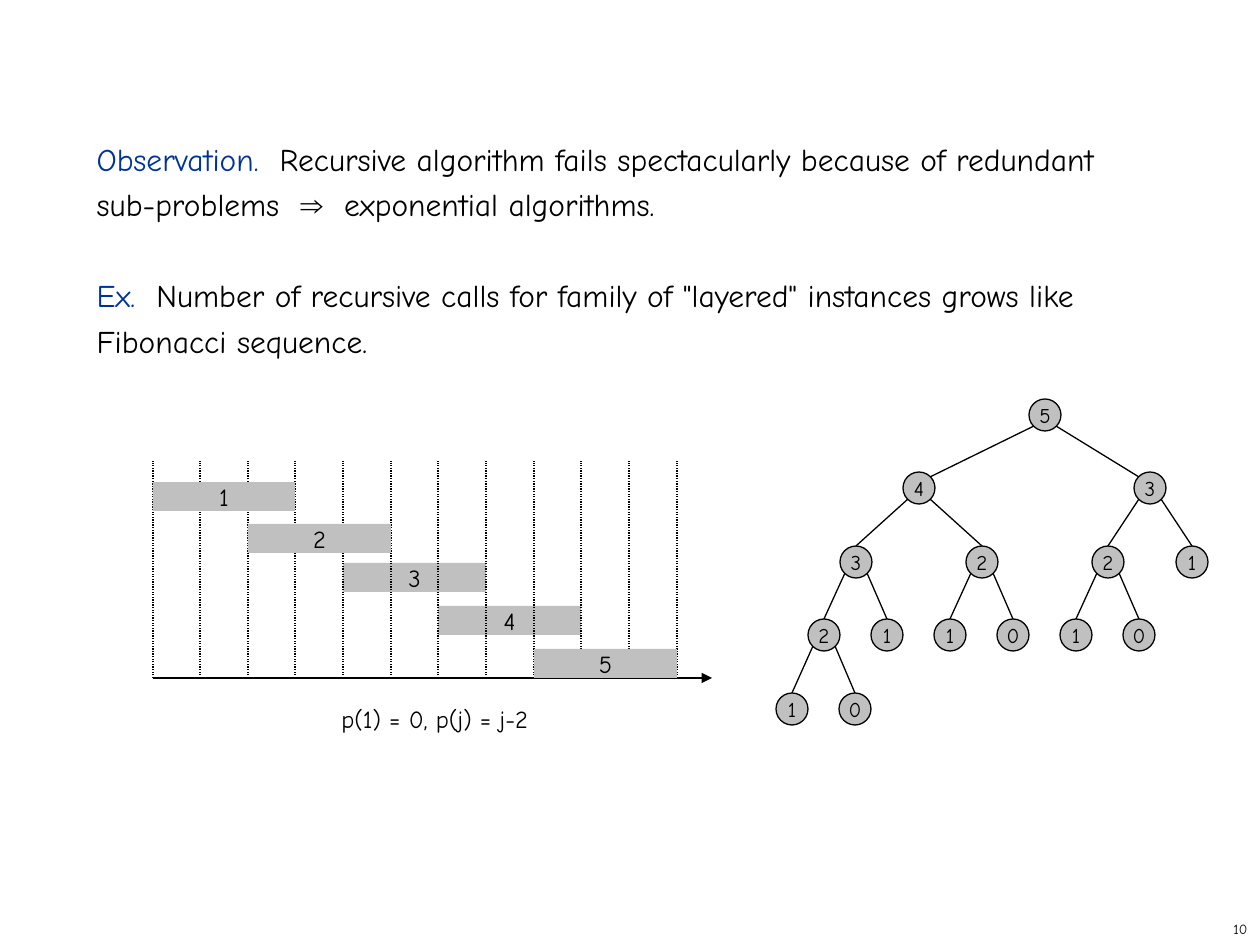
from pptx import Presentation
from pptx.dml.color import RGBColor
from pptx.enum.dml import MSO_LINE as Dash
from pptx.enum.shapes import MSO_CONNECTOR as Conn, MSO_SHAPE as Shape
from pptx.enum.text import MSO_ANCHOR as Anchor, MSO_AUTO_SIZE as Fit, PP_ALIGN as Align
from pptx.oxml.ns import qn
from pptx.util import Pt
from lxml.etree import SubElement as Sub

SCALE = 914400 / 126
FONT = "Comic Neue"
BLACK, BLUE, GRAY = "000000", "003399", "C0C0C0"
BASE = 678
SPREAD = {(0, 5): (-126, 105), (1, 4): (-63, 63), (1, 3): (-42, 42)}


def px(*vals):
    return [round(val * SCALE) for val in vals]


def color(fmt, code):
    fmt.rgb = RGBColor.from_string(code)


def style(obj, vals):
    for name, val in vals.items():
        setattr(obj, name, val)


def add_run(para, text, size, code=BLACK, face=FONT):
    run = para.add_run()
    run.text = text
    style(run.font, {"size": Pt(size), "name": face})
    color(run.font.color, code)


def label(shape, text, size, align=Align.CENTER, anchor=Anchor.MIDDLE):
    frame = shape.text_frame
    style(frame, {"word_wrap": False, "vertical_anchor": anchor})
    para = frame.paragraphs[0]
    para.alignment = align
    add_run(para, text, size)
    return frame


def add_line(shapes, start, end):
    line = shapes.add_connector(Conn.STRAIGHT, *px(*start, *end))
    line.line.width = Pt(0.75)
    color(line.line.color, BLACK)
    Sub(line._element.spPr, qn("a:effectLst"))
    return line.line


def add_box(shapes, kind, box, text, size):
    shape = shapes.add_shape(kind, *px(*box))
    shape.shadow.inherit = False
    shape.fill.solid()
    color(shape.fill.fore_color, GRAY)
    shape.line.fill.background()
    label(shape, text, size)
    return shape


def add_body(slide):
    slide.shapes.title._element.getparent().remove(slide.shapes.title._element)
    body = slide.placeholders[1]
    style(body, dict(zip(("left", "top", "width", "height"), px(84, 126, 1081, 746))))
    items = [
        [("Observation.  ", BLUE),
         ("Recursive algorithm fails spectacularly because of redundant sub-problems  ",),
         ("⇒", BLACK, "Arial"), ("  exponential algorithms.",)],
        [("Ex.  ", BLUE),
         ('Number of recursive calls for family of "layered" instances grows like '
          "Fibonacci sequence.",)],
    ]
    frame = body.text_frame
    frame.auto_size = Fit.NONE
    for num, item in enumerate(items):
        para = frame.add_paragraph() if num else frame.paragraphs[0]
        props = para._p.get_or_add_pPr()
        props.set("marL", "0")
        props.set("indent", "0")
        Sub(props, qn("a:buNone"))
        style(para, {"line_spacing": Pt(26), "space_before": Pt(26 * num),
                     "space_after": Pt(0), "alignment": Align.LEFT})
        for text, *look in item:
            add_run(para, text, 18, *look)


def add_text(shapes, box, text, size, align, anchor):
    return label(shapes.add_textbox(*px(*box)), text, size, align, anchor)


def grid_x(col):
    return 153 + 524 * col // 11


def add_bar(shapes, job, top):
    left = grid_x(2 * job - 2)
    box = (left, top, grid_x(2 * job + 1) - left, 29)
    add_box(shapes, Shape.RECTANGLE, box, str(job), 14)


def add_jobs(shapes):
    axis = add_line(shapes, (153, BASE), (712, BASE))
    Sub(axis._get_or_add_ln(), qn("a:tailEnd"), type="triangle")
    for job, top in ((3, 563), (4, 606)):
        add_bar(shapes, job, top)
    grid = shapes.add_group_shape().shapes
    for col in range(12):
        x = grid_x(col)
        add_line(grid, (x, BASE), (x, 461)).dash_style = Dash.ROUND_DOT
    for job, top in ((5, 649), (1, 482), (2, 524)):
        add_bar(shapes, job, top)


def add_tree(shapes, num, x, depth=0):
    y = 415 + 147 * depth // 2
    node = add_box(shapes, Shape.OVAL, (x - 16, y - 16, 32, 32), str(num), 12)
    node.line.width = Pt(0.75)
    color(node.line.color, BLACK)
    if num < 2:
        return
    below = 415 + 147 * (depth + 1) // 2
    shifts = SPREAD.get((depth, num), (-32, 31))
    for kid, side, shift in zip((num - 1, num - 2), (-11, 11), shifts):
        end = (x + shift, below - 16) if depth else (x + shift - side, below - 11)
        add_line(shapes, (x + side, y + 11), end)
        add_tree(shapes, kid, x + shift, depth + 1)


def main():
    deck = Presentation()
    style(deck, dict(zip(("slide_width", "slide_height"), px(1260, 945))))
    slide = deck.slides.add_slide(deck.slide_layouts[1])
    shapes = slide.shapes
    add_text(shapes, (998, 913, 262, 32), "10", 8, Align.RIGHT, Anchor.MIDDLE)
    add_body(slide)
    add_jobs(shapes)
    note = add_text(shapes, (329, 698, 213, 42), "p(1) = 0, p(j) = j-2", 14,
                    Align.LEFT, Anchor.TOP)
    note.auto_size = Fit.SHAPE_TO_FIT_TEXT
    add_tree(shapes.add_group_shape().shapes, 5, 1045)
    deck.save("out.pptx")


if __name__ == "__main__":
    main()
